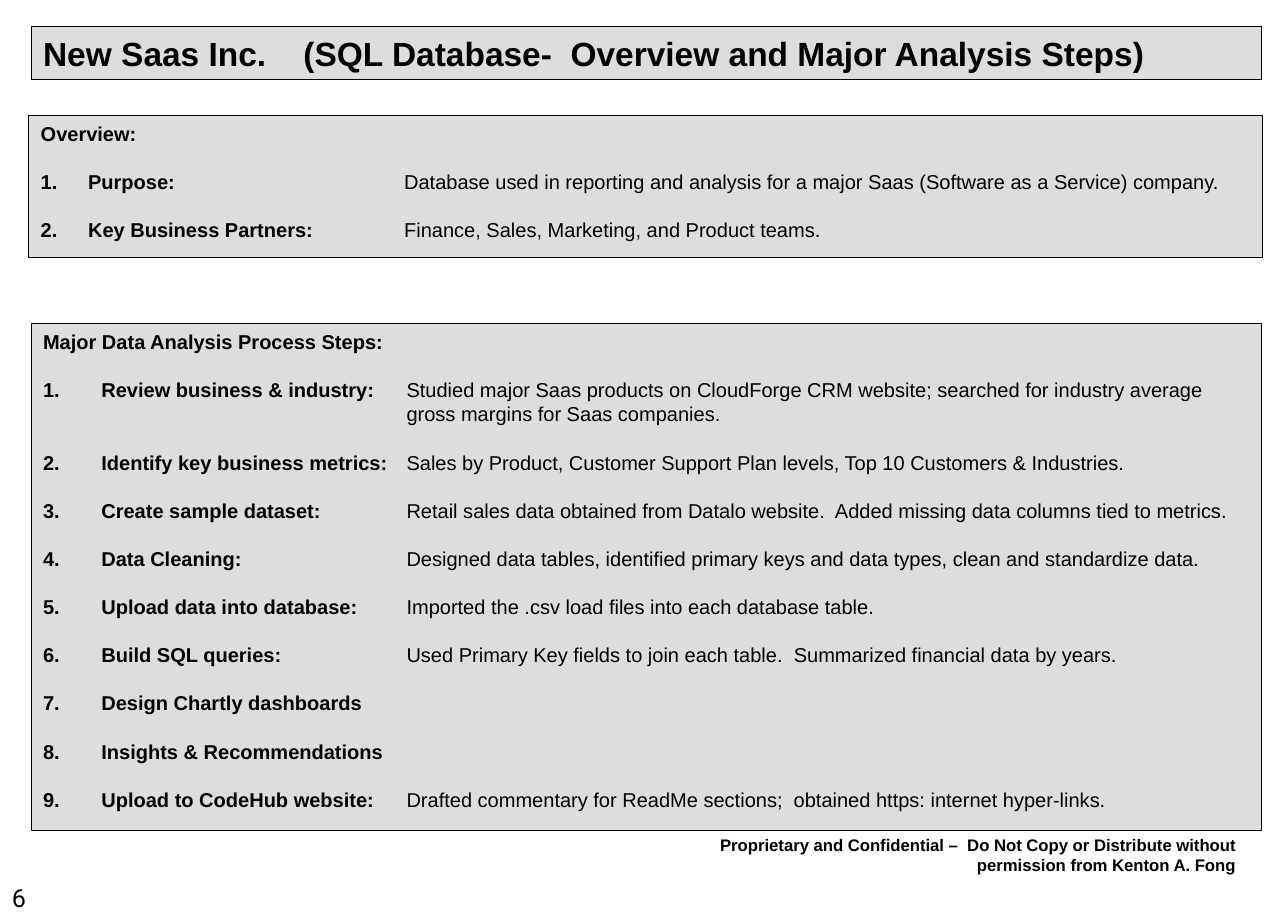
from lxml import etree
from pptx import Presentation
from pptx.dml.color import RGBColor
from pptx.enum.shapes import MSO_SHAPE
from pptx.enum.text import MSO_ANCHOR, PP_ALIGN
from pptx.oxml.ns import qn
from pptx.util import Cm, Pt

RECTANGLE = MSO_SHAPE.RECTANGLE
TOP, MIDDLE = MSO_ANCHOR.TOP, MSO_ANCHOR.MIDDLE
LEFT, RIGHT = PP_ALIGN.LEFT, PP_ALIGN.RIGHT

BLACK, GREY = "000000", "DDDDDD"
LINE_PITCH = Pt(14.4)
DETAIL_COLUMN = 7.67  # cm from the left edge of the text

OVERVIEW = [
    ("Purpose:", "Database used in reporting and analysis for a major Saas "
                 "(Software as a Service) company."),
    ("Key Business Partners:", "Finance, Sales, Marketing, and Product teams."),
]
STEPS = [
    ("Review business & industry:",
     "Studied major Saas products on CloudForge CRM website; searched for industry average"
     "\v\tgross margins for Saas companies."),
    ("Identify key business metrics:",
     "Sales by Product, Customer Support Plan levels, Top 10 Customers & Industries."),
    ("Create sample dataset:",
     "Retail sales data obtained from Datalo website.  Added missing data columns tied to metrics."),
    ("Data Cleaning:",
     "Designed data tables, identified primary keys and data types, clean and standardize data."),
    ("Upload data into database:", "Imported the .csv load files into each database table."),
    ("Build SQL queries:",
     "Used Primary Key fields to join each table.  Summarized financial data by years."),
    ("Design Chartly dashboards", ""),
    ("Insights & Recommendations", ""),
    ("Upload to CodeHub website:",
     "Drafted commentary for ReadMe sections;  obtained https: internet hyper-links."),
]


def color(hex_string):
    return RGBColor.from_string(hex_string)


def style(paragraph, size, bold=False, font="Arial", align=LEFT):
    paragraph.alignment = align
    paragraph.font.name = font
    paragraph.font.size = Pt(size)
    paragraph.font.bold = bold
    paragraph.font.color.rgb = color(BLACK)


def add_panel(slide, box, anchor=TOP):
    """Grey outlined box; returns its text frame."""
    panel = slide.shapes.add_shape(RECTANGLE, *map(Cm, box))
    panel.shadow.inherit = False
    panel.fill.solid()
    panel.fill.fore_color.rgb = color(GREY)
    panel.line.color.rgb = color(BLACK)
    panel.line.width = Pt(0.75)
    panel.text_frame.word_wrap = True
    panel.text_frame.vertical_anchor = anchor
    return panel.text_frame


def add_title(slide, box, text):
    frame = add_panel(slide, box, MIDDLE)
    frame.text = text
    style(frame.paragraphs[0], 20, bold=True)


def number_item(paragraph, indent):
    """Automatic number, hanging indent and a tab stop for the detail column."""
    properties = paragraph._p.get_or_add_pPr()
    properties.set("marL", str(Cm(indent)))
    properties.set("indent", str(-Cm(indent)))
    numbering = etree.Element(qn("a:buAutoNum"), type="arabicPeriod")
    tabs = etree.Element(qn("a:tabLst"))
    etree.SubElement(tabs, qn("a:tab"), pos=str(Cm(DETAIL_COLUMN)), algn="l")
    default_run = properties.find(qn("a:defRPr"))
    default_run.addprevious(numbering)
    default_run.addprevious(tabs)


def add_numbered_panel(slide, box, heading, items, indent):
    frame = add_panel(slide, box)
    frame.text = heading
    style(frame.paragraphs[0], 12, bold=True)
    frame.paragraphs[0].line_spacing = LINE_PITCH
    for label, detail in items:
        item = frame.add_paragraph()
        item.text = label
        style(item, 12, bold=True)
        item.line_spacing = item.space_before = LINE_PITCH
        number_item(item, indent)
        # Detail lines, each starting at the tab stop
        for position, line in enumerate(detail.split("\v") if detail else []):
            if position:
                item.add_line_break()
            run = item.add_run()
            run.text = "\t" + line.lstrip("\t")
            run.font.bold = False


def add_note(slide, box, text, size, **look):
    frame = slide.shapes.add_textbox(*map(Cm, box)).text_frame
    frame.word_wrap = True
    frame.text = text
    style(frame.paragraphs[0], size, **look)


def main():
    deck = Presentation()
    deck.slide_width, deck.slide_height = Cm(27.18), Cm(19.3)
    slide = deck.slides.add_slide(deck.slide_layouts[6])

    # Footer
    add_note(slide, (13.26, 17.48, 13.06, 1.12),
             "Proprietary and Confidential –  Do Not Copy or Distribute without "
             "permission from Kenton A. Fong", 10, bold=True, align=RIGHT)
    add_note(slide, (0, 18.49, 1.14, 0.81), "6", 15, font="Roboto")

    # Title and the two lists
    add_title(slide, (0.66, 0.56, 25.96, 1.12),
              "New Saas Inc.    (SQL Database-  Overview and Major Analysis Steps)")
    add_numbered_panel(slide, (0.66, 6.83, 25.96, 10.69),
                       "Major Data Analysis Process Steps:", STEPS, 1.23)
    add_numbered_panel(slide, (0.61, 2.44, 26.04, 3), "Overview:", OVERVIEW, 1)

    deck.save("out.pptx")


if __name__ == "__main__":
    main()
